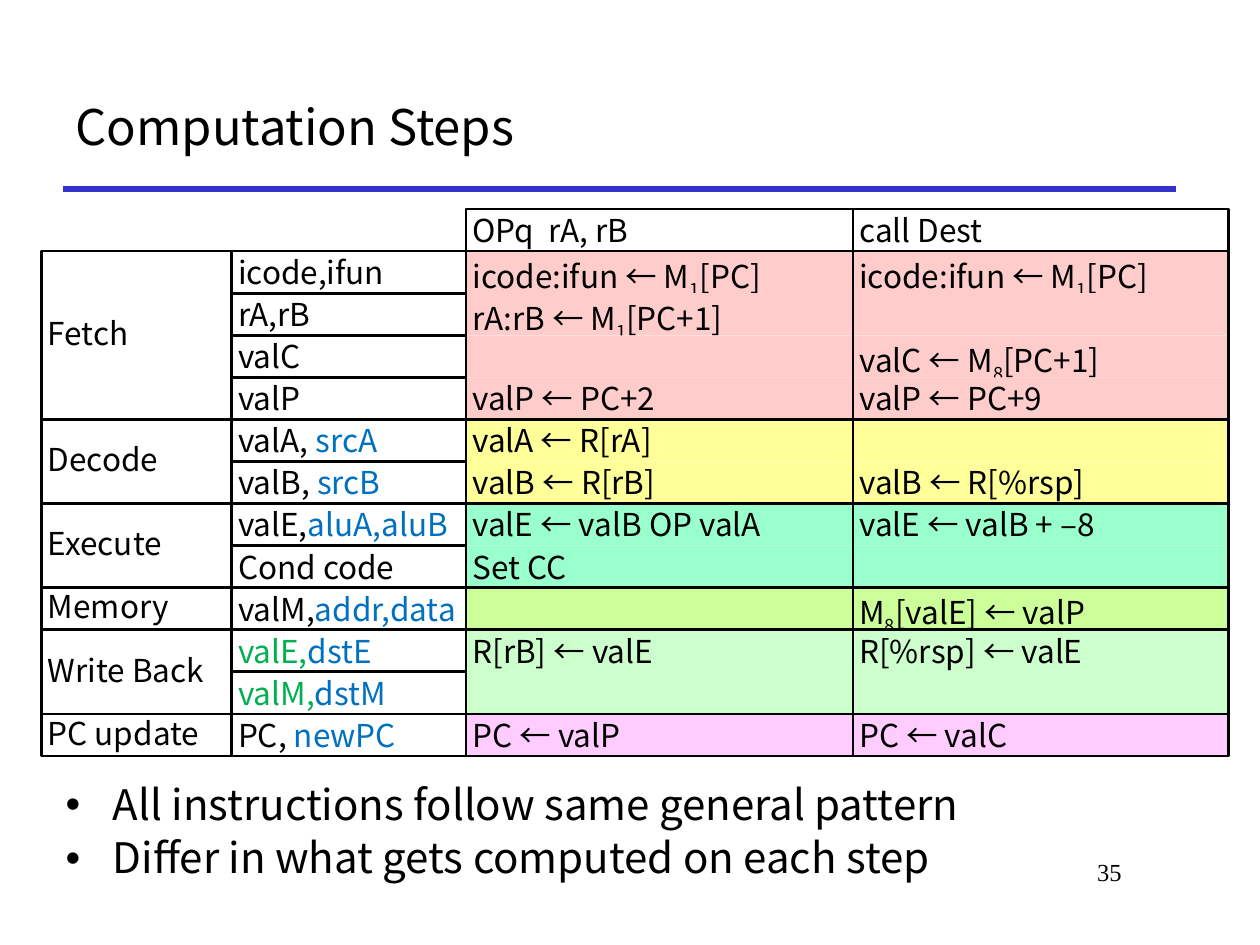
from lxml import etree
from pptx import Presentation
from pptx.dml.color import RGBColor
from pptx.enum import shapes, text
from pptx.oxml.ns import qn
from pptx.util import Inches, Pt

SANS = "Noto Sans CJK KR"
SERIF = "Times New Roman"
BLACK = RGBColor(0, 0, 0)
BLUE = RGBColor(0x00, 0x70, 0xC0)
GREEN = RGBColor(0x00, 0xB0, 0x50)
RULE = RGBColor(0x33, 0x33, 0xCC)
PINK = RGBColor(0xFF, 0xCC, 0xCC)
YELLOW = RGBColor(0xFF, 0xFF, 0x99)
MINT = RGBColor(0x99, 0xFF, 0xCC)
LIME = RGBColor(0xCC, 0xFF, 0x99)
PALE = RGBColor(0xCC, 0xFF, 0xCC)
LILAC = RGBColor(0xFF, 0xCC, 0xFF)


def plain(words):
    return [(words, BLACK, False)]


def pair(name, port, color=BLACK):
    return [(name, color, False), (port, BLUE, False)]


def mem(head, size, tail):
    return [(head, BLACK, False), (size, BLACK, True), (tail, BLACK, False)]


HEADS = ["OPq  rA, rB", "call Dest"]
STEPS = [
    ("Fetch", PINK, [
        (plain("icode,ifun"), mem("icode:ifun ← M", "1", "[PC]"),
         mem("icode:ifun ← M", "1", "[PC]")),
        (plain("rA,rB"), mem("rA:rB ← M", "1", "[PC+1]"), []),
        (plain("valC"), [], mem("valC ← M", "8", "[PC+1]")),
        (plain("valP"), plain("valP ← PC+2"), plain("valP ← PC+9"))]),
    ("Decode", YELLOW, [
        (pair("valA, ", "srcA"), plain("valA ← R[rA]"), []),
        (pair("valB, ", "srcB"), plain("valB ← R[rB]"),
         plain("valB ← R[%rsp]"))]),
    ("Execute", MINT, [
        (pair("valE,", "aluA,aluB"), plain("valE ← valB OP valA"),
         plain("valE ← valB + –8")),
        (plain("Cond code"), plain("Set CC"), [])]),
    ("Memory", LIME, [
        (pair("valM,", "addr,data"), [], mem("M", "8", "[valE] ← valP"))]),
    ("Write Back", PALE, [
        (pair("valE,", "dstE", GREEN), plain("R[rB] ← valE"),
         plain("R[%rsp] ← valE")),
        (pair("valM,", "dstM", GREEN), [], [])]),
    ("PC update", LILAC, [
        (pair("PC, ", "newPC"), plain("PC ← valP"), plain("PC ← valC"))]),
]


def place(shape, box):
    shape.left, shape.top, shape.width, shape.height = map(Inches, box)


def write(para, runs, size, face=SANS):
    for words, color, sub in runs:
        run = para.add_run()
        run.text = words
        run.font.size = Pt(size)
        run.font.name = face
        run.font.color.rgb = color
        if sub:
            run.font._element.set("baseline", "-25000")


def cell(slide, box, runs=(), fill=None, line=True, anchor=text.MSO_ANCHOR.TOP):
    rect = slide.shapes.add_shape(shapes.MSO_SHAPE.RECTANGLE, *map(Inches, box))
    rect.shadow.inherit = False
    if fill is None:
        rect.fill.background()
    else:
        rect.fill.solid()
        rect.fill.fore_color.rgb = fill
    if line:
        rect.line.color.rgb = BLACK
        rect.line.width = Pt(1.5)
    else:
        rect.line.fill.background()
    if runs:
        frame = rect.text_frame
        frame.margin_left = frame.margin_right = Inches(0.05)
        frame.margin_top = frame.margin_bottom = Inches(0.05)
        frame.vertical_anchor = anchor
        para = frame.paragraphs[0]
        para.alignment = text.PP_ALIGN.LEFT
        para.line_spacing = 0.9
        write(para, runs, 18)


def title(slide, box):
    shape = slide.shapes.title
    place(shape, box)
    frame = shape.text_frame
    frame.auto_size = text.MSO_AUTO_SIZE.NONE
    frame.vertical_anchor = text.MSO_ANCHOR.MIDDLE
    frame.paragraphs[0].alignment = text.PP_ALIGN.LEFT
    write(frame.paragraphs[0], plain("Computation Steps"), 28)
    left, top, width, height = box
    base = Inches(top + height)
    rule = slide.shapes.add_connector(
        shapes.MSO_CONNECTOR.STRAIGHT,
        Inches(left), base, Inches(left + width), base)
    rule.line.color.rgb = RULE
    rule.line.width = Pt(3)
    etree.SubElement(rule._element.spPr, qn("a:effectLst"))


def body(slide, box, items):
    shape = slide.placeholders[1]
    place(shape, box)
    frame = shape.text_frame
    frame.auto_size = text.MSO_AUTO_SIZE.NONE
    for num, item in enumerate(items):
        para = frame.add_paragraph() if num else frame.paragraphs[0]
        para.line_spacing = 0.9
        if num == 0:
            para.space_before = Pt(0)
        write(para, plain(item), 24)


def steps(slide, box):
    left, top, width, height = box
    widths = [1.51, 1.86, 3.07, width - 6.44]
    edges = [left + sum(widths[:col]) for col in range(4)]
    row = height / (1 + sum(len(rows) for _, _, rows in STEPS))

    for col, head in enumerate(HEADS, 2):
        cell(slide, (edges[col], top, widths[col], row), plain(head))
    y = top + row
    for name, color, rows in STEPS:
        tall = row * len(rows)
        cell(slide, (edges[0], y, widths[0], tall), plain(name),
             anchor=text.MSO_ANCHOR.MIDDLE)
        single = len(rows) == 1
        for num, runs in enumerate(rows):
            for col, part in enumerate(runs, 1):
                label = col == 1
                cell(slide, (edges[col], y + num * row, widths[col], row), part,
                     fill=None if label else color, line=label or single)
        if not single:
            for col in (2, 3):
                cell(slide, (edges[col], y, widths[col], tall))
        y += tall


def number(slide, box):
    shape = slide.shapes.add_textbox(*map(Inches, box))
    shape.text_frame.word_wrap = True
    para = shape.text_frame.paragraphs[0]
    para.alignment = text.PP_ALIGN.RIGHT
    write(para, plain("35"), 14, SERIF)


def main():
    deck = Presentation()
    deck.slide_width, deck.slide_height = Inches(10), Inches(7.5)
    slide = deck.slides.add_slide(deck.slide_layouts[1])
    title(slide, (0.5, 0.5, 8.83, 1))
    steps(slide, (0.33, 1.66, 9.42, 4.34))
    body(slide, (0.42, 6.17, 9.08, 1.09), [
        "All instructions follow same general pattern",
        "Differ in what gets computed on each step"])
    number(slide, (7.58, 6.75, 1.42, 0.5))
    deck.save("out.pptx")


if __name__ == "__main__":
    main()
